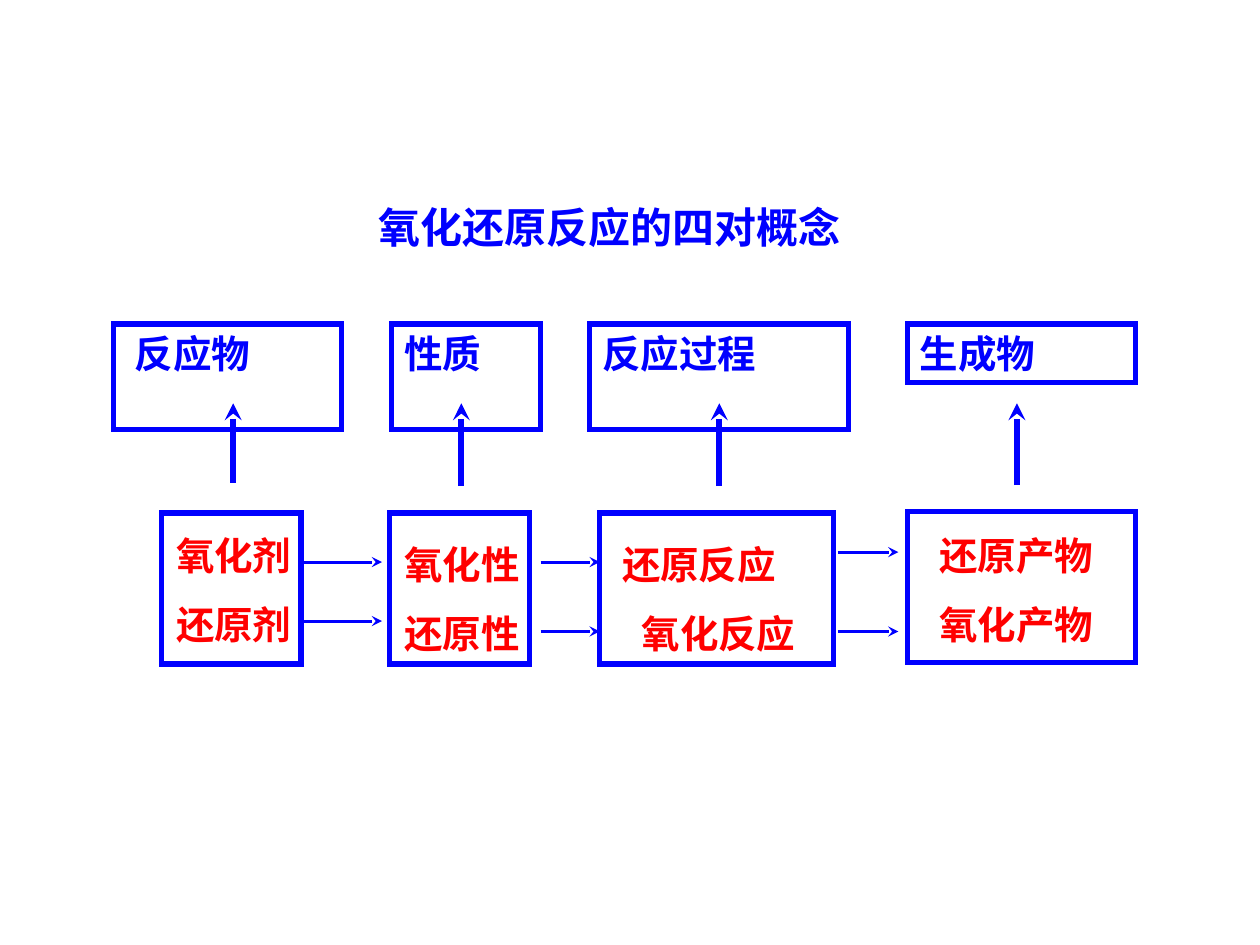
from lxml import etree
from pptx import Presentation
from pptx.dml.color import RGBColor
from pptx.enum import shapes, text
from pptx.oxml.ns import qn
from pptx.util import Cm, Pt

BLUE = RGBColor(0x00, 0x00, 0xFF)
RED = RGBColor(0xFF, 0x00, 0x00)
FONT = "Times New Roman"
LEFT, CENTER = text.PP_ALIGN.LEFT, text.PP_ALIGN.CENTER

HEADING_TOP = 6.53
ARROW_TIP = 8.13
PAIR_HEIGHT = 3.05

# label, left, width, height, text inset
HEADINGS = [
    ("反应物", 2.29, 4.6, 2.13, 0.43),
    ("性质", 7.9, 3, 2.13, 0.25),
    ("反应过程", 11.89, 5.21, 2.13, 0.25),
    ("生成物", 18.29, 4.6, 1.19, 0.25),
]
# x, bottom
UP_ARROWS = [(4.7, 9.73), (9.3, 9.8), (14.5, 9.8), (20.5, 9.78)]
# frame (left, top, width), words (left, top, width), lines with alignment
PAIRS = [
    ((3.25, 10.34, 2.82), (3.3, 10.13, 3.4), [("氧化剂", LEFT), ("还原剂", LEFT)]),
    ((7.85, 10.34, 2.82), (7.9, 10.31, 3.4), [("氧化性还原性", LEFT)]),
    ((12.09, 10.34, 4.72), (12.29, 10.31, 4.39), [("还原反应", LEFT), ("氧化反应", CENTER)]),
    ((18.29, 10.31, 4.6), (18.29, 10.13, 4.39), [("还原产物", CENTER), ("氧化产物", CENTER)]),
]
# start x, end x, the two heights
RIGHT_ARROWS = [
    (6.1, 7.7, (11.33, 12.52)),
    (10.9, 12.09, (11.33, 12.73)),
    (16.89, 18.11, (11.13, 12.73)),
]


def write(frame, lines, size, color, spacing=None):
    """Fill a text frame with (wording, alignment) lines."""
    frame.word_wrap = True
    frame.vertical_anchor = text.MSO_ANCHOR.TOP
    for index, (wording, alignment) in enumerate(lines):
        paragraph = frame.paragraphs[0] if index == 0 else frame.add_paragraph()
        paragraph.alignment = alignment
        if spacing:
            paragraph.line_spacing = spacing
        run = paragraph.add_run()
        run.text = wording
        run.font.name = FONT
        run.font.size = Pt(size)
        run.font.bold = True
        run.font.color.rgb = color


def add_frame(parent, left, top, width, height):
    frame = parent.add_shape(
        shapes.MSO_SHAPE.RECTANGLE, Cm(left), Cm(top), Cm(width), Cm(height))
    frame.shadow.inherit = False
    frame.fill.background()
    frame.line.color.rgb = BLUE
    frame.line.width = Pt(3)
    etree.SubElement(frame.line._get_or_add_ln(), qn("a:miter"), lim="800000")
    return frame


def add_words(parent, left, top, width, height, lines, size, color, spacing=None):
    words = parent.add_textbox(Cm(left), Cm(top), Cm(width), Cm(height))
    write(words.text_frame, lines, size, color, spacing)


def add_heading(parent, label, left, width, height, inset):
    heading = add_frame(parent, left, HEADING_TOP, width, height)
    heading.text_frame.margin_left = Cm(inset)
    write(heading.text_frame, [(label, LEFT)], 22, BLUE)


def add_pair(parent, frame, words, lines):
    """Group a frame with the two opposite terms inside it."""
    pair = parent.add_group_shape().shapes
    add_frame(pair, *frame, PAIR_HEIGHT)
    add_words(pair, *words, PAIR_HEIGHT, lines, 22, RED, 1.5)


def add_arrow(parent, start, end, weight):
    arrow = parent.add_connector(
        shapes.MSO_CONNECTOR.STRAIGHT, *map(Cm, start), *map(Cm, end))
    arrow.line.color.rgb = BLUE
    arrow.line.width = Pt(weight)
    etree.SubElement(arrow.line._get_or_add_ln(), qn("a:tailEnd"), type="stealth")
    etree.SubElement(arrow._element.spPr, qn("a:effectLst"))


def main():
    deck = Presentation()
    deck.slide_width, deck.slide_height = Cm(25.4), Cm(19.05)
    parts = deck.slides.add_slide(deck.slide_layouts[6]).shapes

    add_words(parts, 3.89, 3.94, 16.81, 1.27,
              [("氧化还原反应的四对概念", CENTER)], 24, BLUE)
    for heading, (x, bottom) in zip(HEADINGS, UP_ARROWS):
        add_heading(parts, *heading)
        add_arrow(parts, (x, bottom), (x, ARROW_TIP), 3.25)
    for pair in PAIRS:
        add_pair(parts, *pair)
    for start, end, heights in RIGHT_ARROWS:
        for y in heights:
            add_arrow(parts, (start, y), (end, y), 1.75)

    deck.save("out.pptx")


if __name__ == "__main__":
    main()
